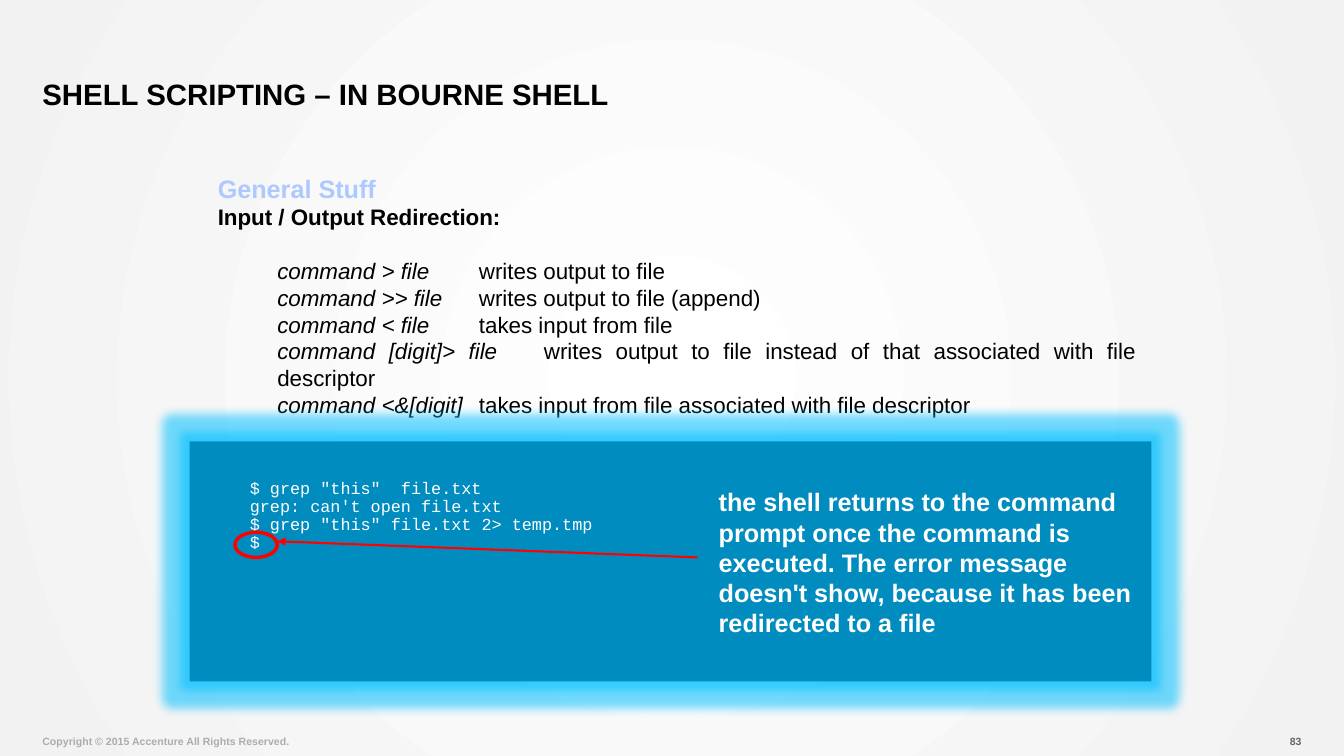
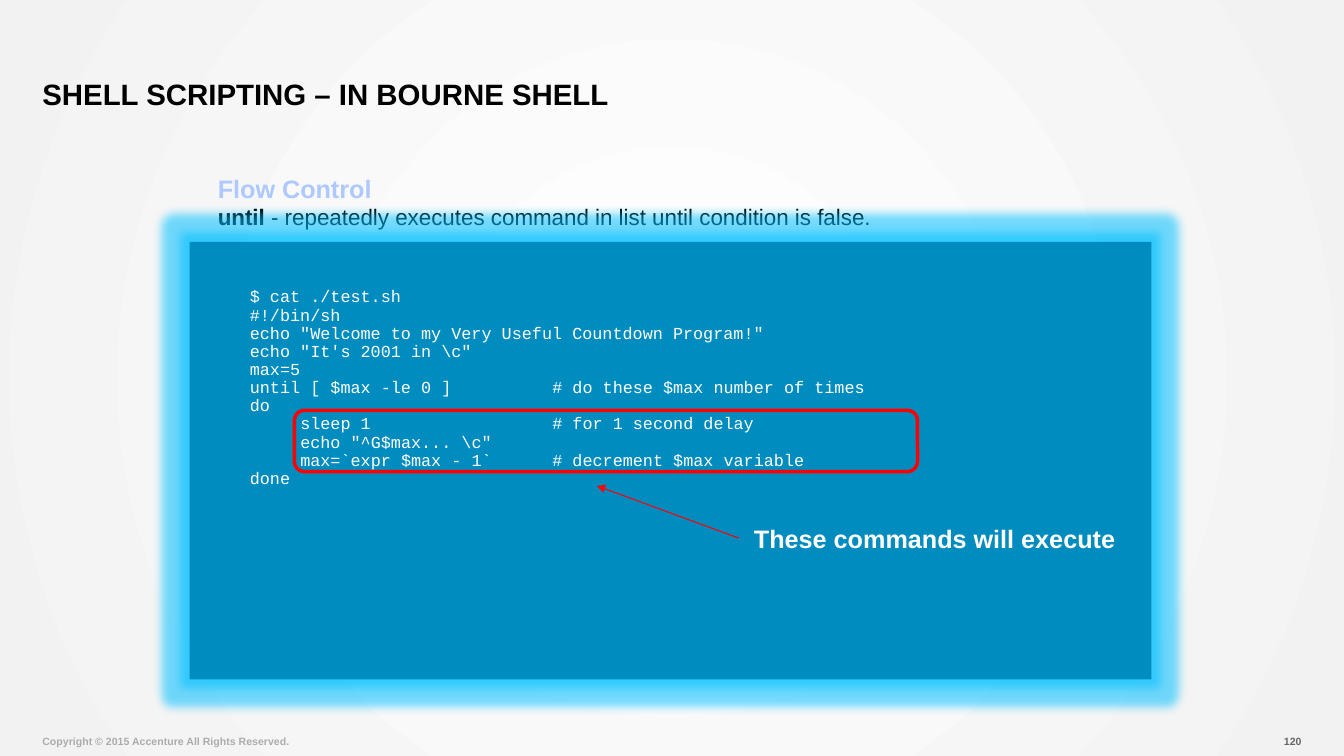
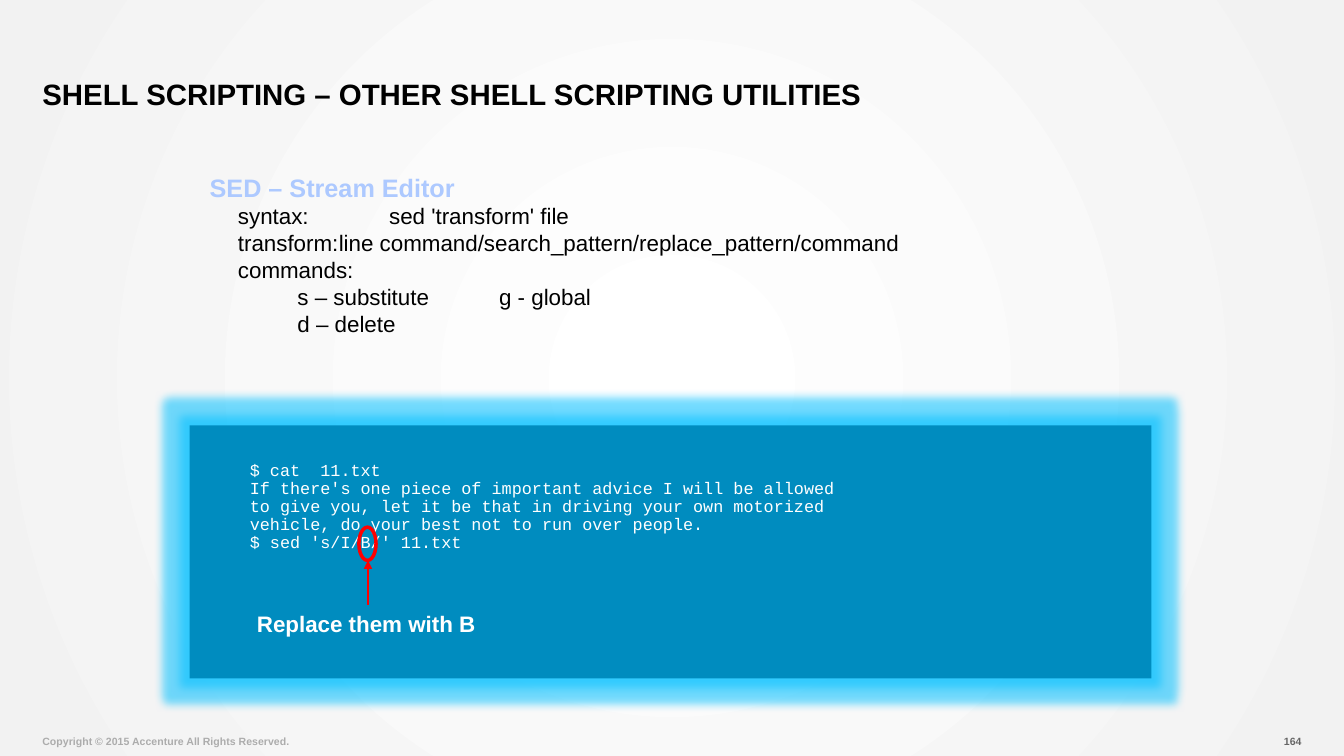
from dataclasses import dataclass

from lxml.etree import SubElement
from pptx import Presentation
from pptx.dml.color import RGBColor
from pptx.enum.shapes import MSO_CONNECTOR, MSO_SHAPE
from pptx.enum.text import MSO_ANCHOR, PP_ALIGN
from pptx.oxml import parse_xml
from pptx.oxml.ns import nsdecls, qn
from pptx.util import Inches, Pt

COLORS = {
    "title": "000000",
    "text": "000000",
    "heading": "ADC9FF",
    "copyright": "ACACAC",
    "page": "666666",
    "panel": "008CBF",
    "glow": "00BFFF",
    "code": "FFFFFF",
    "mark": "FF0000",
    "center": "FFFFFF",
    "edge": "F2F2F2",
}
SANS = "Arial"
MONO = "Courier New"
COPYRIGHT = "Copyright © 2015 Accenture All Rights Reserved."
LINE_FACTOR = 1.2
CODE_FACTOR = 1.08


@dataclass(frozen=True)
class Box:
    left: float
    top: float
    width: float
    height: float

    def lengths(self):
        return [Inches(value) for value in (self.left, self.top, self.width, self.height)]


@dataclass(frozen=True)
class Span:
    text: str
    size: float = 16
    color: str = "text"
    bold: bool = False
    italic: bool = False
    font: str = SANS


@dataclass(frozen=True)
class Line:
    spans: tuple
    indent: float = 0
    space_before: float = 0
    factor: float = LINE_FACTOR
    align: PP_ALIGN = PP_ALIGN.LEFT


@dataclass(frozen=True)
class Panel:
    box: Box
    padding: float
    code: str


@dataclass(frozen=True)
class Marker:
    preset: MSO_SHAPE
    box: Box


@dataclass(frozen=True)
class Arrow:
    start: tuple
    end: tuple
    width: float
    from_callout: bool = False


@dataclass(frozen=True)
class Callout:
    box: Box
    lines: tuple
    size: float = 18


@dataclass(frozen=True)
class Lesson:
    title: str
    page: str
    body_box: Box
    body: tuple
    panel: Panel
    marker: Marker
    arrow: Arrow
    callout: Callout


def rgb(name: str) -> RGBColor:
    return RGBColor.from_string(COLORS[name])


def heading(text: str) -> Line:
    return Line((Span(text, 18, "heading", True),), align=PP_ALIGN.JUSTIFY)


def body_line(*spans: Span, indent: float = 0, space_before: float = 0) -> Line:
    return Line(spans, indent, space_before, align=PP_ALIGN.JUSTIFY)


def command(syntax: str, meaning: str, space_before: float = 0) -> Line:
    return body_line(Span(syntax, italic=True), Span("\t" + meaning),
                     indent=0.59, space_before=space_before)


def write(text_frame, lines, margins=(0.1, 0.05, 0.1, 0.05), anchor=MSO_ANCHOR.TOP) -> None:
    text_frame.word_wrap = True
    text_frame.vertical_anchor = anchor
    (text_frame.margin_left, text_frame.margin_top,
     text_frame.margin_right, text_frame.margin_bottom) = map(Inches, margins)
    for index, line in enumerate(lines):
        paragraph = text_frame.paragraphs[0] if index == 0 else text_frame.add_paragraph()
        paragraph.alignment = line.align
        paragraph.line_spacing = Pt(line.spans[0].size * line.factor)
        paragraph.space_before = Pt(line.space_before)
        properties = paragraph._p.get_or_add_pPr()
        properties.set("marL", str(Inches(line.indent)))
        properties.set("indent", "0")
        for span in line.spans:
            run = paragraph.add_run()
            run.text = span.text
            run.font.name = span.font
            run.font.size = Pt(span.size)
            run.font.bold = span.bold
            run.font.italic = span.italic
            run.font.color.rgb = rgb(span.color)


def add_text(slide, box: Box, lines, **options):
    shape = slide.shapes.add_textbox(*box.lengths())
    write(shape.text_frame, lines, **options)
    return shape


def add_title(slide, text: str) -> None:
    title = slide.shapes.title
    title.left, title.top, title.width, title.height = Box(0.42, 0, 12.5, 1.11).lengths()
    write(title.text_frame, [Line((Span(text, 21, "title", True),), factor=1)],
          margins=(0, 0.05, 0, 0), anchor=MSO_ANCHOR.BOTTOM)


def add_footer(slide, page: str) -> None:
    for box, text, color, align in (
        (Box(0.42, 7.19, 6.25, 0.23), COPYRIGHT, "copyright", PP_ALIGN.LEFT),
        (Box(12.58, 7.19, 0.33, 0.23), page, "page", PP_ALIGN.RIGHT),
    ):
        add_text(slide, box, [Line((Span(text, 7.5, color, True),), align=align)],
                 margins=(0, 0, 0, 0), anchor=MSO_ANCHOR.BOTTOM)


def add_panel(slide, panel: Panel) -> None:
    shape = slide.shapes.add_shape(MSO_SHAPE.RECTANGLE, *panel.box.lengths())
    shape.fill.solid()
    shape.fill.fore_color.rgb = rgb("panel")
    shape.line.fill.background()
    shape.shadow.inherit = False
    effects = shape._element.spPr.find(qn("a:effectLst"))
    glow = SubElement(effects, qn("a:glow"), rad=str(Pt(13)))
    color = SubElement(glow, qn("a:srgbClr"), val=COLORS["glow"])
    SubElement(color, qn("a:alpha"), val="55000")
    lines = [Line((Span(text, 12, "code", font=MONO),), 0.5, factor=CODE_FACTOR)
             for text in panel.code.splitlines()]
    write(shape.text_frame, lines, margins=(0.1, panel.padding, 0.1, 0.05))


def add_marker(slide, marker: Marker) -> None:
    shape = slide.shapes.add_shape(marker.preset, *marker.box.lengths())
    shape.fill.background()
    shape.line.color.rgb = rgb("mark")
    shape.line.width = Pt(2.5)
    shape.shadow.inherit = False


def add_arrow(slide, arrow: Arrow, callout) -> None:
    points = [Inches(value) for value in (*arrow.start, *arrow.end)]
    connector = slide.shapes.add_connector(MSO_CONNECTOR.STRAIGHT, *points)
    connector.line.color.rgb = rgb("mark")
    connector.line.width = Pt(arrow.width)
    SubElement(connector.line._get_or_add_ln(), qn("a:tailEnd"), type="triangle")
    SubElement(connector._element.spPr, qn("a:effectLst"))
    if arrow.from_callout:
        connector.begin_connect(callout, 0)


def add_lesson(presentation, lesson: Lesson) -> None:
    slide = presentation.slides.add_slide(presentation.slide_layouts[5])
    add_title(slide, lesson.title)
    add_footer(slide, lesson.page)
    add_text(slide, lesson.body_box, lesson.body, margins=(0, 0.05, 0, 0.05))
    add_panel(slide, lesson.panel)
    add_marker(slide, lesson.marker)
    lines = [Line((Span(text, lesson.callout.size, "code", True),))
             for text in lesson.callout.lines]
    callout = add_text(slide, lesson.callout.box, lines)
    add_arrow(slide, lesson.arrow, callout)


def set_background(master) -> None:
    common = master.element.cSld
    common.remove(common.find(qn("p:bg")))
    common.insert(0, parse_xml(
        f'<p:bg {nsdecls("p", "a")}><p:bgPr><a:gradFill rotWithShape="1"><a:gsLst>'
        f'<a:gs pos="2000"><a:srgbClr val="{COLORS["center"]}"/></a:gs>'
        f'<a:gs pos="100000"><a:srgbClr val="{COLORS["edge"]}"/></a:gs></a:gsLst>'
        '<a:path path="circle"><a:fillToRect l="50000" t="50000" r="50000" b="50000"/></a:path>'
        '</a:gradFill><a:effectLst/></p:bgPr></p:bg>'))


REDIRECTION_CODE = """$ grep "this"  file.txt
grep: can't open file.txt
$ grep "this" file.txt 2> temp.tmp
$"""

UNTIL_CODE = r"""$ cat ./test.sh
#!/bin/sh
echo "Welcome to my Very Useful Countdown Program!"
echo "It's 2001 in \c"
max=5
until [ $max -le 0 ]		# do these $max number of times
do
	sleep 1				# for 1 second delay
	echo "^G$max... \c"
	max=`expr $max - 1`		# decrement $max variable
done"""

SED_CODE = """$ cat  11.txt
If there's one piece of important advice I will be allowed
to give you, let it be that in driving your own motorized
vehicle, do your best not to run over people.
$ sed 's/I/B/' 11.txt"""

BOURNE_TITLE = "SHELL SCRIPTING – IN BOURNE SHELL"
BODY_BOX = Box(2.16, 1.67, 9.11, 5.42)

LESSONS = (
    Lesson(
        BOURNE_TITLE, "83", BODY_BOX,
        (
            heading("General Stuff"),
            body_line(Span("Input / Output Redirection:", bold=True)),
            command("command > file", "writes output to file", 19),
            command("command >> file", "writes output to file (append)"),
            command("command < file", "takes input from file"),
            command("command [digit]> file",
                    "writes output to file instead of that associated with file descriptor"),
            command("command <&[digit]",
                    "takes input from file associated with file descriptor"),
        ),
        Panel(Box(1.88, 4.38, 9.54, 2.38), 0.38, REDIRECTION_CODE),
        Marker(MSO_SHAPE.OVAL, Box(2.33, 5.28, 0.42, 0.25)),
        Arrow((6.92, 5.53), (2.75, 5.37), 1.5),
        Callout(Box(7.03, 4.78, 4.4, 1.6), (
            "the shell returns to the command",
            "prompt once the command is",
            "executed. The error message doesn't show, because it has been",
            "redirected to a file",
        )),
    ),
    Lesson(
        BOURNE_TITLE, "120", BODY_BOX,
        (
            heading("Flow Control"),
            body_line(
                Span("until ", bold=True),
                Span("- repeatedly executes command in list until condition is false."),
            ),
        ),
        Panel(Box(1.88, 2.4, 9.54, 4.34), 0.46, UNTIL_CODE),
        Marker(MSO_SHAPE.ROUNDED_RECTANGLE, Box(2.92, 4.07, 6.18, 0.61)),
        Arrow((7.33, 5.34), (5.92, 4.82), 0.75),
        Callout(Box(7.38, 5.14, 3.9, 0.4), ("These commands will execute",)),
    ),
    Lesson(
        "SHELL SCRIPTING – OTHER SHELL SCRIPTING UTILITIES", "164",
        Box(2.08, 1.66, 9.11, 2.5),
        (
            heading("SED – Stream Editor"),
            body_line(Span("syntax:\t\tsed 'transform' file"), indent=0.28),
            body_line(Span("transform:\tline command/search_pattern/replace_pattern/command"),
                      indent=0.28),
            body_line(Span("commands:"), indent=0.28),
            body_line(Span("s – substitute\t\tg - global"), indent=0.87),
            body_line(Span("d – delete"), indent=0.87),
        ),
        Panel(Box(1.88, 4.22, 9.54, 2.51), 0.36, SED_CODE),
        Marker(MSO_SHAPE.OVAL, Box(3.56, 5.23, 0.17, 0.33)),
        Arrow((3.65, 6), (3.65, 5.56), 1.5, True),
        Callout(Box(2.45, 6, 2.4, 0.37), ("Replace them with B",), 16),
    ),
)


def main() -> None:
    presentation = Presentation()
    presentation.slide_width = Inches(13.33)
    presentation.slide_height = Inches(7.5)
    set_background(presentation.slide_master)
    for lesson in LESSONS:
        add_lesson(presentation, lesson)
    presentation.save("out.pptx")


if __name__ == "__main__":
    main()
